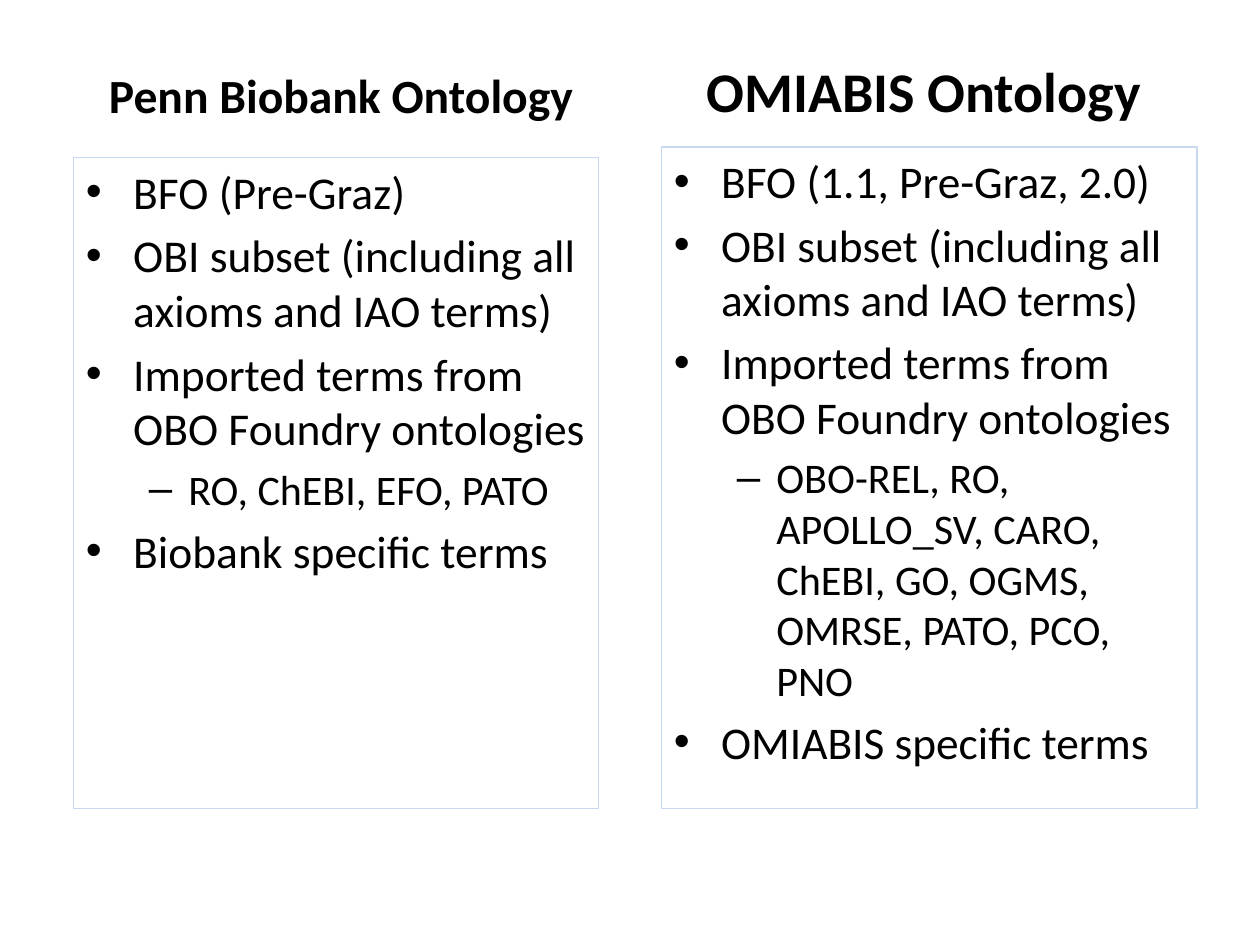
import pptx
import pptx.util
import pptx.dml.color
import pptx.enum.shapes
import pptx.enum.text
import lxml.etree

Pt = pptx.util.Pt
COLORS = {"text": "000000", "border": "C6D9F1"}
LEVELS = [("\u2022", 27, -27), ("\u2013", 58.5, -22.5)]
NS = "http://schemas.openxmlformats.org/drawingml/2006/main"
COLUMNS = [
    dict(title="Penn Biobank Ontology", title_size=27.2,
         title_box=(48, 24, 294, 50), body_box=(42, 90, 300, 372), sizes=(26, 24),
         items=[(0, "BFO (Pre-Graz)"),
                (0, "OBI subset (including all axioms and IAO terms)"),
                (0, "Imported terms from OBO Foundry ontologies"),
                (1, "RO, ChEBI, EFO, PATO"),
                (0, "Biobank specific terms")]),
    dict(title="OMIABIS Ontology", title_size=32,
         title_box=(378, 24, 300, 50), body_box=(378, 84, 306, 378), sizes=(25.9, 24.1),
         items=[(0, "BFO (1.1, Pre-Graz, 2.0)"),
                (0, "OBI subset (including all axioms and IAO terms)"),
                (0, "Imported terms from OBO Foundry ontologies"),
                (1, "OBO-REL, RO, APOLLO_SV, CARO, ChEBI, GO, OGMS, OMRSE, PATO, PCO, PNO"),
                (0, "OMIABIS specific terms")]),
]


def rgb(name):
    """Return the named colour."""
    return pptx.dml.color.RGBColor.from_string(COLORS[name])


def add_run(p, text, size, bold=False):
    """Append a styled run and set the gap above its paragraph."""
    p.space_before = Pt(round(size * 0.2, 1))
    r = p.add_run()
    r.text = text
    r.font.name = "Calibri"
    r.font.size = Pt(size)
    r.font.bold = bold
    r.font.color.rgb = rgb("text")


def set_bullet(p, level):
    """Give a paragraph the bullet and hanging indent of its level."""
    char, margin, indent = LEVELS[level]
    p.level = level
    pPr = p._p.get_or_add_pPr()
    pPr.set("marL", str(Pt(margin)))
    pPr.set("indent", str(Pt(indent)))
    lxml.etree.SubElement(pPr, f"{{{NS}}}buFont", typeface="Arial")
    lxml.etree.SubElement(pPr, f"{{{NS}}}buChar", char=char)


def add_title(s, box, text, size):
    """Place a centred bold heading at the bottom of its box."""
    tf = s.shapes.add_textbox(*map(Pt, box)).text_frame
    tf.word_wrap = True
    tf.vertical_anchor = pptx.enum.text.MSO_ANCHOR.BOTTOM
    p = tf.paragraphs[0]
    p.alignment = pptx.enum.text.PP_ALIGN.CENTER
    add_run(p, text, size, bold=True)


def add_body(s, box, items, sizes):
    """Place a bordered box with a two-level bullet list."""
    sp = s.shapes.add_shape(pptx.enum.shapes.MSO_SHAPE.RECTANGLE, *map(Pt, box))
    sp.shadow.inherit = False
    sp.fill.background()
    sp.line.color.rgb = rgb("border")
    sp.line.width = Pt(1)
    tf = sp.text_frame
    tf.word_wrap = True
    tf.vertical_anchor = pptx.enum.text.MSO_ANCHOR.TOP
    for i, (level, text) in enumerate(items):
        p = tf.add_paragraph() if i else tf.paragraphs[0]
        p.alignment = pptx.enum.text.PP_ALIGN.LEFT
        add_run(p, text, sizes[level])
        set_bullet(p, level)


def build_comparison(s, columns):
    """Build the headings and lists of all columns."""
    for col in columns:
        add_title(s, col["title_box"], col["title"], col["title_size"])
        add_body(s, col["body_box"], col["items"], col["sizes"])


prs = pptx.Presentation()
prs.slide_width, prs.slide_height = Pt(720), Pt(540)
s = prs.slides.add_slide(prs.slide_layouts[6])
build_comparison(s, COLUMNS)
prs.save("out.pptx")
